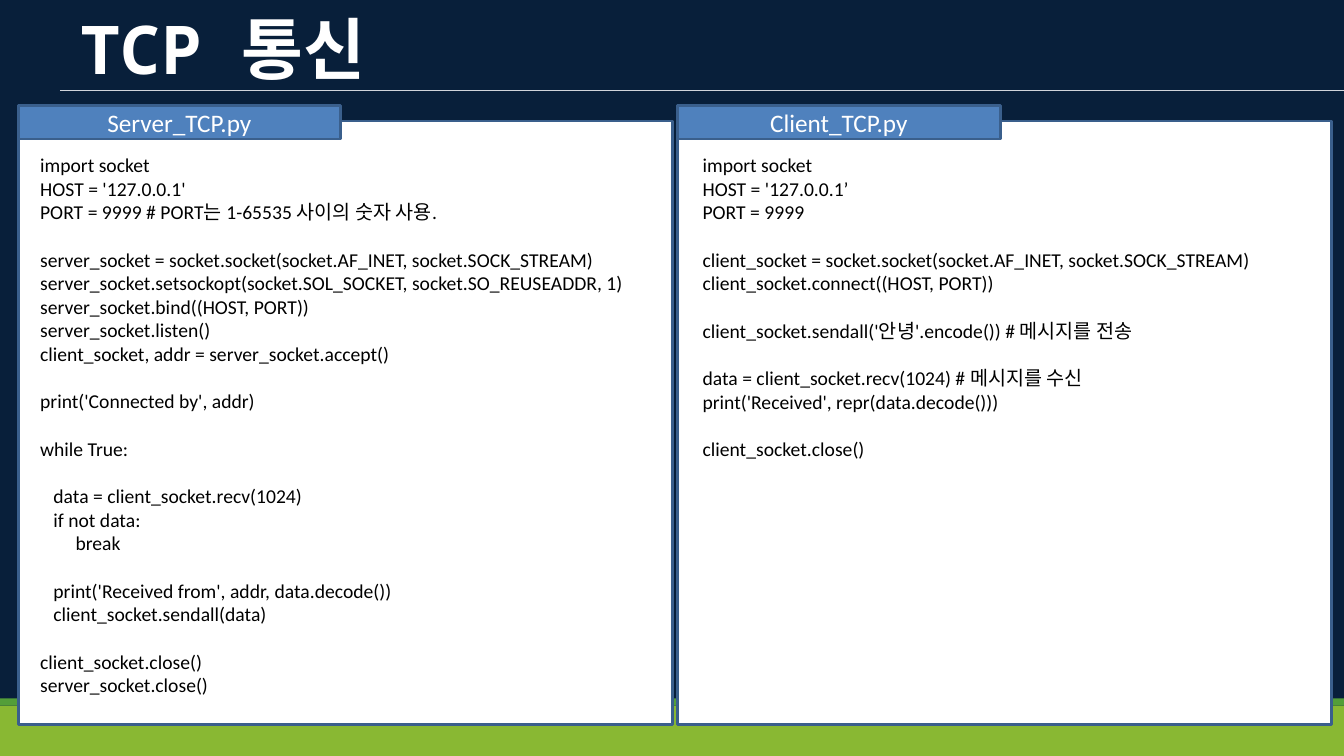
from pptx import Presentation
from pptx.dml.color import RGBColor
from pptx.enum.shapes import MSO_CONNECTOR as Connector, MSO_SHAPE as Shape
from pptx.enum.text import MSO_ANCHOR as Anchor, MSO_AUTO_SIZE as AutoSize, PP_ALIGN as Align
from pptx.oxml.ns import qn
from pptx.util import Inches, Pt

NAVY, LIME, GREEN = "081F3A", "89B833", "539E39"
WHITE, BLACK, BLUE, EDGE, RULE = "FFFFFF", "000000", "4F81BD", "3A5F8C", "D0D4DA"

TITLE_FONT = {"name": "Noto Sans Mono", "size": Pt(48), "bold": True}
TAB_FONT = {"name": "Calibri", "size": Pt(18)}
CODE_FONT = {"name": "Calibri", "size": Pt(14)}
CODE_LINE = Pt(17.1)
SPACE_WIDTH = Pt(3.16)

SERVER_CODE = """import socket
HOST = '127.0.0.1'
PORT = 9999 # PORT는 1-65535 사이의 숫자 사용.

server_socket = socket.socket(socket.AF_INET, socket.SOCK_STREAM)
server_socket.setsockopt(socket.SOL_SOCKET, socket.SO_REUSEADDR, 1)
server_socket.bind((HOST, PORT))
server_socket.listen()
client_socket, addr = server_socket.accept()

print('Connected by', addr)

while True:

   data = client_socket.recv(1024)
   if not data:
        break

   print('Received from', addr, data.decode())
   client_socket.sendall(data)

client_socket.close()
server_socket.close()"""

CLIENT_CODE = """import socket
HOST = '127.0.0.1’
PORT = 9999

client_socket = socket.socket(socket.AF_INET, socket.SOCK_STREAM)
client_socket.connect((HOST, PORT))

client_socket.sendall('안녕'.encode()) # 메시지를 전송

data = client_socket.recv(1024) # 메시지를 수신
print('Received', repr(data.decode()))

client_socket.close()"""


def color(hex_value):
    return RGBColor.from_string(hex_value)


def apply(target, values):
    for key, value in values.items():
        setattr(target, key, value)


def write(paragraph, text, font, hex_value):
    run = paragraph.add_run()
    run.text = text
    apply(run.font, font)
    run.font.color.rgb = color(hex_value)


def add_rect(slide, left, top, width, height, fill, line=None):
    rect = slide.shapes.add_shape(
        Shape.RECTANGLE, Inches(left), Inches(top), Inches(width), Inches(height))
    rect.shadow.inherit = False
    rect.fill.solid()
    rect.fill.fore_color.rgb = color(fill)
    if line:
        rect.line.color.rgb = color(line)
        rect.line.width = Pt(2)
    else:
        rect.line.fill.background()
    return rect


def add_backdrop(slide, width, height):
    slide.background.fill.solid()
    slide.background.fill.fore_color.rgb = color(NAVY)
    # Green footer bands
    add_rect(slide, 0, height - 0.5, width, 0.5, LIME)
    add_rect(slide, 0, height - 0.57, width, 0.07, GREEN)


def add_header(slide, left, top, width, height):
    title = slide.shapes.title
    apply(title, {"left": Inches(left), "top": Inches(top),
                  "width": Inches(width), "height": Inches(height)})
    apply(title.text_frame, {
        "margin_left": 0, "margin_right": 0, "margin_top": Inches(0.01),
        "margin_bottom": 0, "vertical_anchor": Anchor.TOP,
        "word_wrap": True, "auto_size": AutoSize.NONE})
    heading = title.text_frame.paragraphs[0]
    heading.alignment = Align.LEFT
    write(heading, "TCP 통신", TITLE_FONT, WHITE)

    # Thin rule running to the right edge
    rule_y = Inches(top + height + 0.02)
    rule = slide.shapes.add_connector(
        Connector.STRAIGHT, Inches(left - 0.2), rule_y, Inches(13.33), rule_y)
    rule.line.color.rgb = color(RULE)
    rule.line.width = Pt(0.48)
    properties = rule._element.spPr
    properties.append(properties.makeelement(qn("a:effectLst"), {}))


def fill_code(frame, code):
    """One paragraph per code line; blank lines and indents become spacing."""
    paragraph, gap = frame.paragraphs[0], 0
    for number, line in enumerate(code.split("\n")):
        statement = line.lstrip()
        if not statement:
            gap += CODE_LINE
            continue
        if number:
            paragraph = frame.add_paragraph()
        paragraph.space_before = gap
        indent = (len(line) - len(statement)) * SPACE_WIDTH
        if indent:
            paragraph._p.get_or_add_pPr().set("marL", str(indent))
        write(paragraph, statement, CODE_FONT, BLACK)
        gap = 0


def add_code_panel(slide, left, top, width, height, file_name, code, inset, code_height):
    # Panel and its file name tab
    add_rect(slide, left, top, width, height, WHITE, EDGE)
    tab = add_rect(slide, left, top - 0.15, 3.2, 0.33, BLUE, EDGE)
    tab.text_frame.vertical_anchor = Anchor.MIDDLE
    label = tab.text_frame.paragraphs[0]
    label.alignment = Align.CENTER
    write(label, file_name, TAB_FONT, WHITE)

    # Code listing
    listing = slide.shapes.add_textbox(
        Inches(left + inset), Inches(top + 0.27), Inches(6.67), Inches(code_height))
    listing.text_frame.word_wrap = True
    fill_code(listing.text_frame, code)


def main():
    deck = Presentation()
    deck.slide_width, deck.slide_height = Inches(13.33), Inches(7.5)
    slide = deck.slides.add_slide(deck.slide_layouts[5])
    add_backdrop(slide, 13.33, 7.5)
    add_header(slide, 0.8, 0.06, 12.44, 0.82)
    panels = [("Server_TCP.py", SERVER_CODE, 0.12, 5.52),
              ("Client_TCP.py", CLIENT_CODE, 0.15, 3.16)]
    for column, panel in enumerate(panels):
        add_code_panel(slide, 0.18 + column * 6.54, 1.2, 6.49, 5.99, *panel)
    deck.save("out.pptx")


if __name__ == "__main__":
    main()
